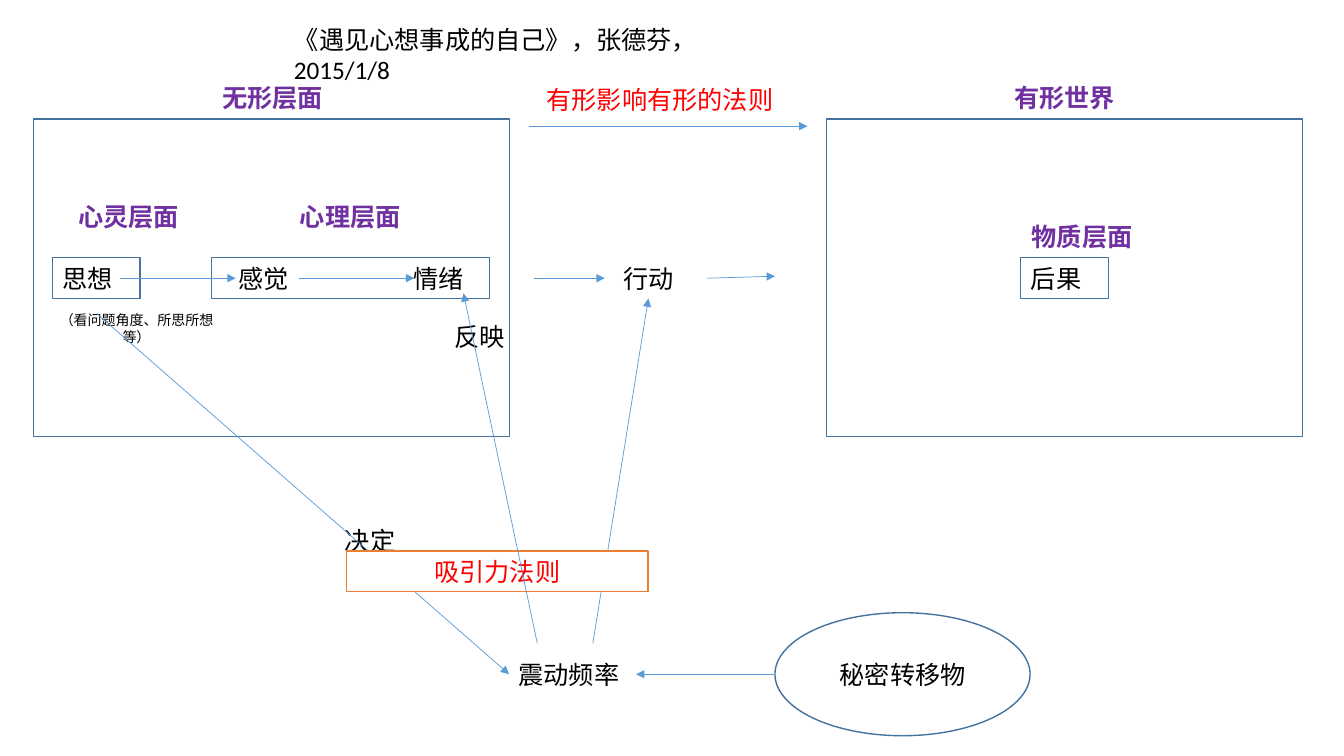
import pptx
import pptx.util
import pptx.dml.color
import pptx.enum.shapes
import pptx.enum.text
import pptx.oxml
import pptx.oxml.ns
from pptx.util import Cm

COLORS = {"paper": "FFFFFF", "outline": "43739E", "arrow": "5B9BD5", "law": "ED7D31",
          "text": "000000", "heading": "7030A0", "rule": "FF0000"}
ROW = 1.02
LABEL_WIDTH = 4.8
TITLE = ("《遇见心想事成的自己》，张德芬，2015/1/8", 7.16, 0.48, 13.23)
NOTE = ("（看问题角度、所思所想等）", 1.04, 7.72)
LAW = ("吸引力法则", 8.74, 13.89, 7.59)
FRAMES = [(0.84, 3), (20.83, 3)]
FRAME_SIZE = (12, 8)
SECRET_OVAL = (19.53, 15.44, 6.43, 3.1)
BOXED = [("思想", 1.32, 2.21), ("\t感觉\t情绪", 5.33, 7.01), ("后果", 25.73, 2.21)]
BOXED_TOP = 6.5
FEELING_TABS = (0.42, 4.84)
HEADINGS = [("有形世界", 24.43, 1.96), ("物质层面", 24.87, 5.44), ("无形层面", 4.47, 1.96),
            ("心灵层面", 0.84, 4.95), ("心理层面", 6.43, 4.95)]
LABELS = [("行动", 13.94, 6.5), ("震动频率", 11.94, 16.48), ("决定", 6.93, 13.11),
          ("秘密转移物", 20.35, 16.48), ("反映", 9.68, 7.98)]
VISIBLE_RULE = ("有形影响有形的法则", 13.34, 2.01, 6.58)
ARROWS = [(3.02, 7.01, 5.94, 7.01), (7.54, 7.01, 10.44, 7.01), (13.46, 7.01, 15.24, 7.01),
          (17.83, 7.01, 19.53, 6.96), (2.44, 7.9, 12.83, 16.99),
          (19.53, 16.99, 16.03, 16.99), (13.34, 3.18, 20.35, 3.18)]
ACTION_ARROW = (14.94, 16.21, 16.34, 7.52)
REFLECT_ARROW = (13.54, 16.21, 11.68, 7.39)

SHAPES = pptx.enum.shapes.MSO_SHAPE
ALIGN = pptx.enum.text.PP_ALIGN


def rgb(name):
    return pptx.dml.color.RGBColor.from_string(COLORS[name])


def write(box, text, color="text", size=18, bold=False, align=ALIGN.CENTER, tabs=()):
    frame = box.text_frame
    frame.word_wrap = True
    frame.auto_size = pptx.enum.text.MSO_AUTO_SIZE.SHAPE_TO_FIT_TEXT
    frame.text = text
    para = frame.paragraphs[0]
    para.alignment = align
    if tabs:
        tab_list = pptx.oxml.ns.qn("a:tabLst")
        stops = para._p.get_or_add_pPr().makeelement(tab_list, {})
        for position in tabs:
            stop = stops.makeelement(pptx.oxml.ns.qn("a:tab"), {"pos": str(Cm(position)), "algn": "l"})
            stops.append(stop)
        para._p.get_or_add_pPr().append(stops)
    for span in para.runs:
        span.font.name = "Calibri"
        span.font.size = pptx.util.Pt(size)
        span.font.bold = bold
        span.font.color.rgb = rgb(color)


def add_outline(page, kind, left, top, width, height, line="outline", weight=1, fill=None):
    shape = page.shapes.add_shape(kind, Cm(left), Cm(top), Cm(width), Cm(height))
    shape.shadow.inherit = False
    if fill:
        shape.fill.solid()
        shape.fill.fore_color.rgb = rgb(fill)
    else:
        shape.fill.background()
    shape.line.color.rgb = rgb(line)
    shape.line.width = pptx.util.Pt(weight)
    return shape


def add_label(page, text, left, top, width=LABEL_WIDTH, height=ROW, **style):
    box = page.shapes.add_textbox(Cm(left), Cm(top), Cm(width), Cm(height))
    write(box, text, **style)
    return box


def add_arrow(page, *ends):
    arrow = page.shapes.add_connector(pptx.enum.shapes.MSO_CONNECTOR.STRAIGHT, *map(Cm, ends))
    arrow.line.color.rgb = rgb("arrow")
    arrow.line.width = pptx.util.Pt(0.5)
    line = arrow.line._get_or_add_ln()
    line.append(line.makeelement(pptx.oxml.ns.qn("a:tailEnd"), {"type": "triangle"}))
    properties = arrow._element.spPr
    properties.append(properties.makeelement(pptx.oxml.ns.qn("a:effectLst"), {}))
    return arrow


def main():
    deck = pptx.Presentation()
    deck.slide_width, deck.slide_height = Cm(33.87), Cm(19.05)
    page = deck.slides.add_slide(deck.slide_layouts[6])
    page.background.fill.solid()
    page.background.fill.fore_color.rgb = rgb("paper")

    for left, top in FRAMES:
        add_outline(page, SHAPES.RECTANGLE, left, top, *FRAME_SIZE)
    for text, left, width in BOXED:
        box = add_outline(page, SHAPES.RECTANGLE, left, BOXED_TOP, width, ROW, weight=0.75)
        write(box, text, align=ALIGN.LEFT, tabs=FEELING_TABS if "\t" in text else ())
    add_outline(page, SHAPES.OVAL, *SECRET_OVAL)

    for heading in HEADINGS:
        add_label(page, *heading, color="heading", bold=True)
    labels = {label[0]: add_label(page, *label) for label in LABELS}
    add_label(page, *NOTE, height=0.69, size=10)
    add_label(page, *VISIBLE_RULE, color="rule")
    title = add_label(page, *TITLE, align=ALIGN.LEFT)
    title.text_frame.margin_right = Cm(1)

    for ends in ARROWS:
        add_arrow(page, *ends)
    add_arrow(page, *ACTION_ARROW).end_connect(labels["行动"], 2)
    text, left, top, width = LAW
    law = add_outline(page, SHAPES.RECTANGLE, left, top, width, ROW, line="law", fill="paper")
    write(law, text, color="rule")
    add_arrow(page, *REFLECT_ARROW)

    deck.save("out.pptx")


if __name__ == "__main__":
    main()
